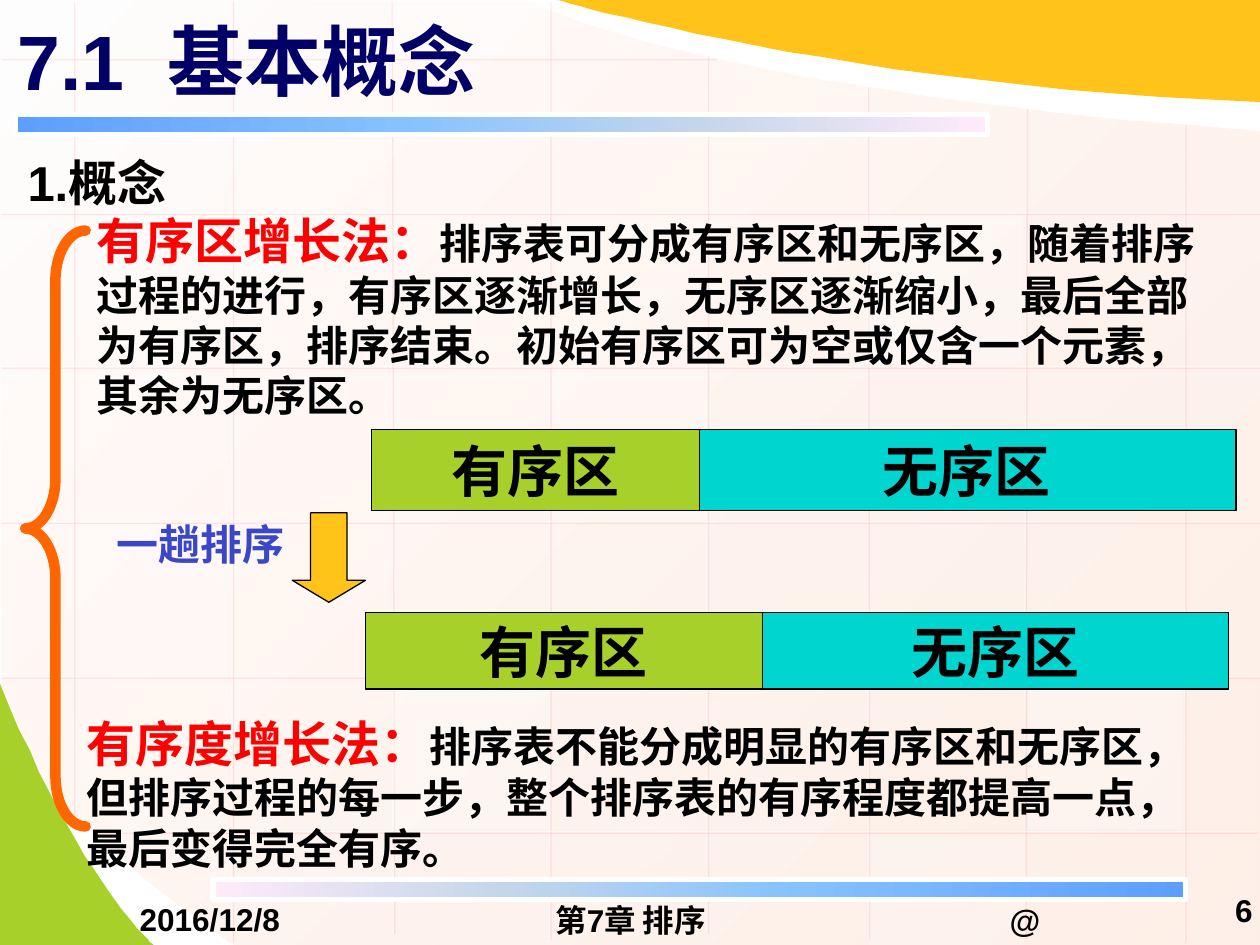
from lxml import etree
from pptx import Presentation
from pptx import util as u
from pptx.dml.color import RGBColor
from pptx.enum import shapes, text
from pptx.oxml.ns import qn

PX = 9144  # EMU per px, 100 px to the inch
SLIDE_SIZE = (1000, 750)
SANS, SERIF = "Arial", "Times New Roman"
BLACK, WHITE, RED = "000000", "FFFFFF", "FF0000"
GREEN, CYAN, YELLOW, ORANGE = "A8D02A", "00D5D0", "FFC319", "FF6600"
LEFT, CENTER, RIGHT = text.PP_ALIGN.LEFT, text.PP_ALIGN.CENTER, text.PP_ALIGN.RIGHT

# Outlines: a start point, then lines (x, y) or cubic curves (six numbers)
PAPER = [(1001, 104), (1001, 427, 1001, 749, 1001, 749), (187, 750),
         (55, 660, 1, 580, 2, 580), (-1, -1), (421, 1),
         (421, 1, 537, 69, 1001, 104)]
GREEN_CORNER = [(-1, 540), (-1, 750), (122, 750), (122, 750, 66, 705, -1, 540)]
YELLOW_CORNER = [(1000, 81), (1000, 0), (442, 0), (442, 0, 674, 69, 1000, 81)]
PAPER_STOPS = [(0, "FFFEFE", 100), (100, "FEE9DE", 70)]
BAR_STOPS = [(0, "5E9EFF", 100), (40, "85C2FF", 100),
             (70, "C4D6EB", 100), (100, "FFEBFA", 100)]

GRID_LINES = [
    (58, 0, 58, 646), (184, 0, 184, 747), (310, 0, 312, 740), (436, 0, 436, 744),
    (561, 43, 561, 740), (688, 68, 689, 744), (814, 85, 813, 744), (940, 98, 940, 747),
    (568, 46, 0, 46), (1001, 169, 0, 169), (1001, 291, 0, 291),
    (1001, 414, 0, 414), (1001, 537, 0, 537), (997, 660, 76, 660),
]
# left, top, width, height, opacity
PALE_CELLS = [
    (438, 294, 123, 118, 25), (816, 540, 123, 118, 30), (60, 416, 123, 118, 20),
    (690, 663, 123, 87, 20), (311, 0, 123, 44, 40), (312, 540, 123, 118, 30),
    (689, 171, 123, 118, 30),
]
BARS = [((12, 91, 772, 16), 0), ((169, 698, 772, 16), 180)]

TITLE = ((4, -3, 900, 101), [("7.1  基本概念", 44, SANS, "000066")])
HEADING = ((12, 107, 969, 60), [("1.概念", 28, SANS, BLACK)])
FOOTERS = [
    ((697, 715, 233, 30), "@"),
    ((50, 714, 233, 30), "2016/12/8"),
    ((342, 715, 317, 30), "第7章 排序"),
]
PAGE_NUMBER = ((938, 698, 66, 49), [("6", 18, SANS, BLACK)])
METHODS = [
    ((67, 162, 915, 178), [
        ("有序区增长法：", 28, SERIF, RED),
        ("排序表可分成有序区和无序区，随着排序过程的进行，有序区逐渐增长，无序区逐渐缩小，"
         "最后全部为有序区，排序结束。初始有序区可为空或仅含一个元素，其余为无序区。",
         24, SANS, BLACK)]),
    ((59, 561, 918, 138), [
        ("有序度增长法：", 28, SERIF, RED),
        ("排序表不能分成明显的有序区和无序区，但排序过程的每一步，"
         "整个排序表的有序程度都提高一点，最后变得完全有序。", 24, SANS, BLACK)]),
]
PASS_LABEL = ((83, 407, 165, 50), [("一趟排序", 24, SERIF, "3A47C6")])
ZONES = [
    ((553, 341, 428, 64), "无序区", CYAN), ((295, 341, 260, 64), "有序区", GREEN),
    ((290, 486, 315, 61), "有序区", GREEN), ((605, 486, 370, 61), "无序区", CYAN),
]
ARROW_BOX = (232, 407, 58, 71)
BRACE_BOX = (20, 183, 48, 473)


def rgb(color):
    return RGBColor.from_string(color)


def emu(lengths):
    return [length * PX for length in lengths]


def color_xml(parent, color, opacity):
    element = etree.SubElement(parent, qn("a:srgbClr"), val=color)
    etree.SubElement(element, qn("a:alpha"), val=str(opacity * 1000))


def set_opacity(shape, percent):
    """Make the first colour of the shape see-through."""
    color = next(shape._element.iter(qn("a:srgbClr")))
    etree.SubElement(color, qn("a:alpha"), val=str(percent * 1000))


def fill_gradient(shape, stops, angle):
    shape.fill.gradient()
    shape.fill.gradient_angle = angle
    stop_list = next(shape._element.iter(qn("a:gsLst")))
    for stop in list(stop_list):
        stop_list.remove(stop)
    for position, color, opacity in stops:
        stop = etree.SubElement(stop_list, qn("a:gs"), pos=str(position * 1000))
        color_xml(stop, color, opacity)


def style(shape, fill=None, line=None, width=0.75):
    shape.shadow.inherit = False
    if fill:
        shape.fill.solid()
        shape.fill.fore_color.rgb = rgb(fill)
    else:
        shape.fill.background()
    if line:
        shape.line.color.rgb = rgb(line)
        shape.line.width = u.Pt(width)
    else:
        shape.line.fill.background()
    return shape


def add_shape(slide, kind, box, **look):
    return style(slide.shapes.add_shape(kind, *emu(box)), **look)


def add_outline(slide, outline, fill=None, steps=24):
    """Draw an outline, with each cubic curve as short straight steps."""
    points = [outline[0]]
    for segment in outline[1:]:
        if len(segment) == 2:
            points.append(segment)
            continue
        x0, y0 = points[-1]
        x1, y1, x2, y2, x3, y3 = segment
        for step in range(1, steps + 1):
            t = step / steps
            a, b, c, d = (1 - t) ** 3, 3 * t * (1 - t) ** 2, 3 * t * t * (1 - t), t ** 3
            points.append((a * x0 + b * x1 + c * x2 + d * x3,
                           a * y0 + b * y1 + c * y2 + d * y3))
    builder = slide.shapes.build_freeform(*points[0], scale=PX)
    builder.add_line_segments(points[1:], close=True)
    return style(builder.convert_to_shape(), fill=fill)


def add_grid_line(slide, ends):
    line = slide.shapes.add_connector(shapes.MSO_CONNECTOR.STRAIGHT, *emu(ends))
    line.line.color.rgb = rgb(WHITE)
    line.line.width = u.Pt(0.75)
    set_opacity(line, 50)
    effects = etree.SubElement(line._element.spPr, qn("a:effectLst"))
    shadow = etree.SubElement(effects, qn("a:outerShdw"), blurRad="0",
                              dist=str(u.Pt(1.4)), dir="2700000")
    color_xml(shadow, "FF7575", 33)


def write(shape, runs, align=LEFT, middle=False):
    frame = shape.text_frame
    frame.vertical_anchor = text.MSO_ANCHOR.MIDDLE if middle else text.MSO_ANCHOR.TOP
    paragraph = frame.paragraphs[0]
    paragraph.alignment = align
    paragraph.font.bold = True
    for words, size, font, color in runs:
        run = paragraph.add_run()
        run.text = words
        run.font.size = u.Pt(size)
        run.font.name = font
        run.font.color.rgb = rgb(color)
    return paragraph


def add_text(slide, box, runs, grow=False, **layout):
    shape = slide.shapes.add_textbox(*emu(box))
    shape.text_frame.word_wrap = True
    if grow:
        shape.text_frame.auto_size = text.MSO_AUTO_SIZE.SHAPE_TO_FIT_TEXT
    write(shape, runs, **layout)
    return shape


def add_background(slide):
    fill_gradient(add_outline(slide, PAPER), PAPER_STOPS, 315)
    add_outline(slide, GREEN_CORNER, GREEN)
    for ends in GRID_LINES:
        add_grid_line(slide, ends)
    for *box, opacity in PALE_CELLS:
        set_opacity(add_shape(slide, shapes.MSO_SHAPE.RECTANGLE, box, fill=WHITE), opacity)
    add_outline(slide, YELLOW_CORNER, YELLOW)
    for box, rotation in BARS:
        bar = add_shape(slide, shapes.MSO_SHAPE.RECTANGLE, box, line=WHITE, width=3)
        fill_gradient(bar, BAR_STOPS, 0)
        bar.rotation = rotation


def add_content(slide):
    add_text(slide, *TITLE, middle=True)
    heading = add_text(slide, *HEADING)
    heading.text_frame.paragraphs[0].line_spacing = 1.2
    for box, words in FOOTERS:
        footer = add_text(slide, box, [(words, 18, SANS, BLACK)], grow=True,
                          align=CENTER, middle=True)
        footer.text_frame.margin_top = footer.text_frame.margin_bottom = 0
    add_text(slide, *PAGE_NUMBER, align=RIGHT, middle=True)
    for box, words, fill in ZONES:
        zone = add_shape(slide, shapes.MSO_SHAPE.RECTANGLE, box, fill=fill, line=BLACK)
        zone.text_frame.word_wrap = False
        write(zone, [(words, 32, SERIF, BLACK)], align=CENTER, middle=True)
    for box, runs in METHODS + [PASS_LABEL]:
        add_text(slide, box, runs, grow=True)
    arrow = add_shape(slide, shapes.MSO_SHAPE.DOWN_ARROW, ARROW_BOX, fill=YELLOW, line=BLACK)
    arrow.adjustments[1] = 0.3
    brace = add_shape(slide, shapes.MSO_SHAPE.LEFT_BRACE, BRACE_BOX, line=ORANGE, width=6)
    brace.adjustments[0] = 0.83
    next(brace._element.iter(qn("a:ln"))).set("cap", "rnd")


def main():
    presentation = Presentation()
    presentation.slide_width, presentation.slide_height = emu(SLIDE_SIZE)
    slide = presentation.slides.add_slide(presentation.slide_layouts[6])
    add_background(slide)
    add_content(slide)
    presentation.save("out.pptx")


if __name__ == "__main__":
    main()
